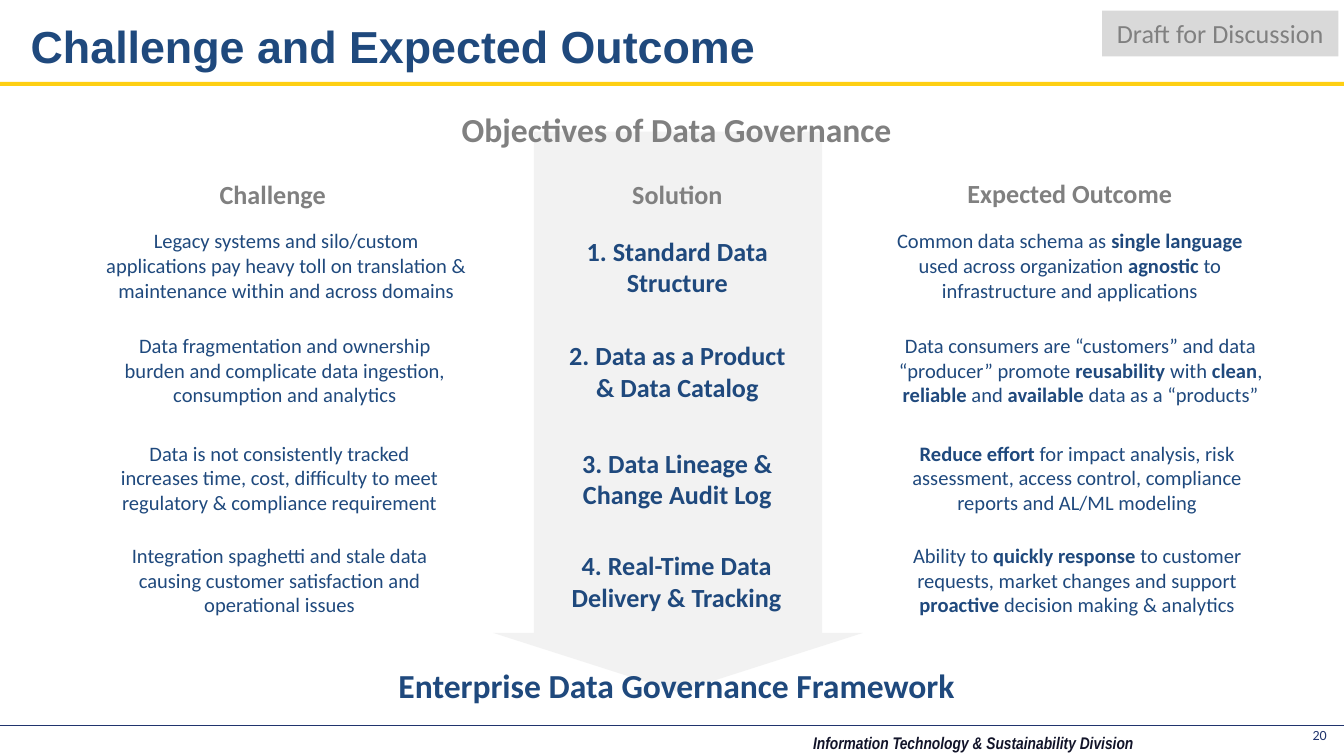
from pptx import Presentation
from pptx.dml.color import RGBColor
from pptx.enum.shapes import MSO_CONNECTOR, MSO_SHAPE
from pptx.enum.text import MSO_ANCHOR, PP_ALIGN
from pptx.oxml.ns import qn
from pptx.util import Inches, Pt
from lxml import etree

NAVY = RGBColor(0x1F, 0x49, 0x7D)
RULE_BLUE = RGBColor(0x20, 0x34, 0x6D)
INK = RGBColor(0x12, 0x14, 0x29)
GOLD = RGBColor(0xFE, 0xCF, 0x13)
GRAY = RGBColor(0x80, 0x80, 0x80)
TAG_GRAY = RGBColor(0xD9, 0xD9, 0xD9)
ARROW_GRAY = RGBColor(0xF2, 0xF2, 0xF2)

ROW_OFFSETS = (0, 0.78, 1.58, 2.34)

# Each entry: left, width, text; *asterisks* enclose bold words.
CHALLENGES = [
    (0.67, 2.92, "Legacy systems and silo/custom applications pay heavy toll on "
                 "translation & maintenance within and across domains"),
    (0.74, 2.76, "Data fragmentation and ownership burden and complicate data "
                 "ingestion, consumption and analytics"),
    (0.74, 2.68, "Data is not consistently tracked increases time, cost, difficulty "
                 "to meet regulatory & compliance requirement"),
    (0.74, 2.68, "Integration spaghetti and stale data causing customer satisfaction "
                 "and operational issues"),
]
SOLUTIONS = [
    (4.08, 1.92, "*1. Standard Data Structure*"),
    (4.08, 1.92, "*2. Data as a Product & Data Catalog*"),
    (4.08, 1.92, "*3. Data Lineage & Change Audit Log*"),
    (4.12, 1.83, "*4. Real-Time Data Delivery & Tracking*"),
]
OUTCOMES = [
    (6.50, 2.92, "Common data schema as *single language *used across organization "
                 "*agnostic *to infrastructure and applications"),
    (6.58, 2.92, "Data consumers are “customers” and data “producer” promote "
                 "*reusability* with *clean*, *reliable* and *available* data as a “products”"),
    (6.64, 2.75, "*Reduce effort *for impact analysis, risk assessment, access control, "
                 "compliance reports and AL/ML modeling"),
    (6.64, 2.75, "Ability to *quickly response *to customer requests, market changes and "
                 "support *proactive* decision making & analytics"),
]


def add_block(slide, shape, box, fill):
    sp = slide.shapes.add_shape(shape, *map(Inches, box))
    sp.shadow.inherit = False
    sp.fill.solid()
    sp.fill.fore_color.rgb = fill
    sp.line.fill.background()
    return sp


def write(sp, text, size, color, align=PP_ALIGN.CENTER, font="Calibri", wrap=True):
    """Fill a shape with one paragraph; *asterisks* enclose bold words."""
    tf = sp.text_frame
    tf.word_wrap = wrap
    tf.vertical_anchor = MSO_ANCHOR.TOP
    p = tf.paragraphs[0]
    p.alignment = align
    p.font.size = Pt(size)
    p.font.name = font
    p.font.color.rgb = color
    for i, part in enumerate(text.split("*")):
        if part:
            r = p.add_run()
            r.text = part
            r.font.bold = i % 2 == 1


def add_text(slide, box, *args, **kwargs):
    sp = slide.shapes.add_textbox(*map(Inches, box))
    write(sp, *args, **kwargs)
    return sp


def add_header(slide):
    add_block(slide, MSO_SHAPE.RECTANGLE, (0, 0.61, 10, 0.03), GOLD)
    add_text(slide, (0.13, 0.09, 9, 0.42), "*Challenge and Expected Outcome*",
             24, NAVY, PP_ALIGN.LEFT, "Arial")
    tag = add_block(slide, MSO_SHAPE.RECTANGLE, (8.2, 0.08, 1.76, 0.34), TAG_GRAY)
    write(tag, "Draft for Discussion", 14, GRAY, wrap=False)


def add_footer(slide, top):
    rule = slide.shapes.add_connector(
        MSO_CONNECTOR.STRAIGHT, 0, Inches(top), Inches(10), Inches(top))
    rule.line.color.rgb = RULE_BLUE
    rule.line.width = Pt(0.25)
    etree.SubElement(rule._element.spPr, qn("a:effectLst"))
    division = add_text(slide, (5.98, top + 0.02, 3.47, 0.22),
                        "*Information Technology & Sustainability Division*",
                        9, INK, PP_ALIGN.LEFT, "Arial Narrow")
    tf = division.text_frame
    tf.paragraphs[0].font.italic = True
    tf.margin_left = tf.margin_right = Inches(0.07)
    tf.margin_top = tf.margin_bottom = Inches(0.03)
    add_text(slide, (9.42, top - 0.04, 0.55, 0.24), "20", 7.5, RULE_BLUE, PP_ALIGN.RIGHT)


def add_arrow(slide, box):
    arrow = add_block(slide, MSO_SHAPE.DOWN_ARROW, box, ARROW_GRAY)
    arrow.adjustments[0] = 0.78
    arrow.adjustments[1] = 0.16


def add_column(slide, heading, heading_box, entries, top, height, size):
    add_text(slide, heading_box, f"*{heading}*", 14, GRAY, wrap=False)
    for offset, (left, width, text) in zip(ROW_OFFSETS, entries):
        add_text(slide, (left, top + offset, width, height), text, size, NAVY)


def main():
    prs = Presentation()
    prs.slide_width = Inches(10)
    prs.slide_height = prs.slide_width * 9 // 16
    slide = prs.slides.add_slide(prs.slide_layouts[6])
    add_arrow(slide, (3.67, 0.98, 2.75, 4.17))
    add_header(slide)
    add_footer(slide, 5.4)
    add_column(slide, "Challenge", (1.53, 1.28, 1, 0.34), CHALLENGES, 1.65, 0.66, 11)
    add_column(slide, "Solution", (4.6, 1.28, 0.88, 0.34), SOLUTIONS, 1.7, 0.57, 14)
    add_column(slide, "Expected Outcome", (7.09, 1.27, 1.74, 0.34), OUTCOMES, 1.65, 0.66, 11)
    add_text(slide, (2.31, 4.9, 5.45, 0.4), "*Enterprise Data Governance Framework*", 18, NAVY)
    add_text(slide, (2.31, 0.76, 5.45, 0.4), "*Objectives of Data Governance*", 18, GRAY)
    prs.save("out.pptx")


if __name__ == "__main__":
    main()
